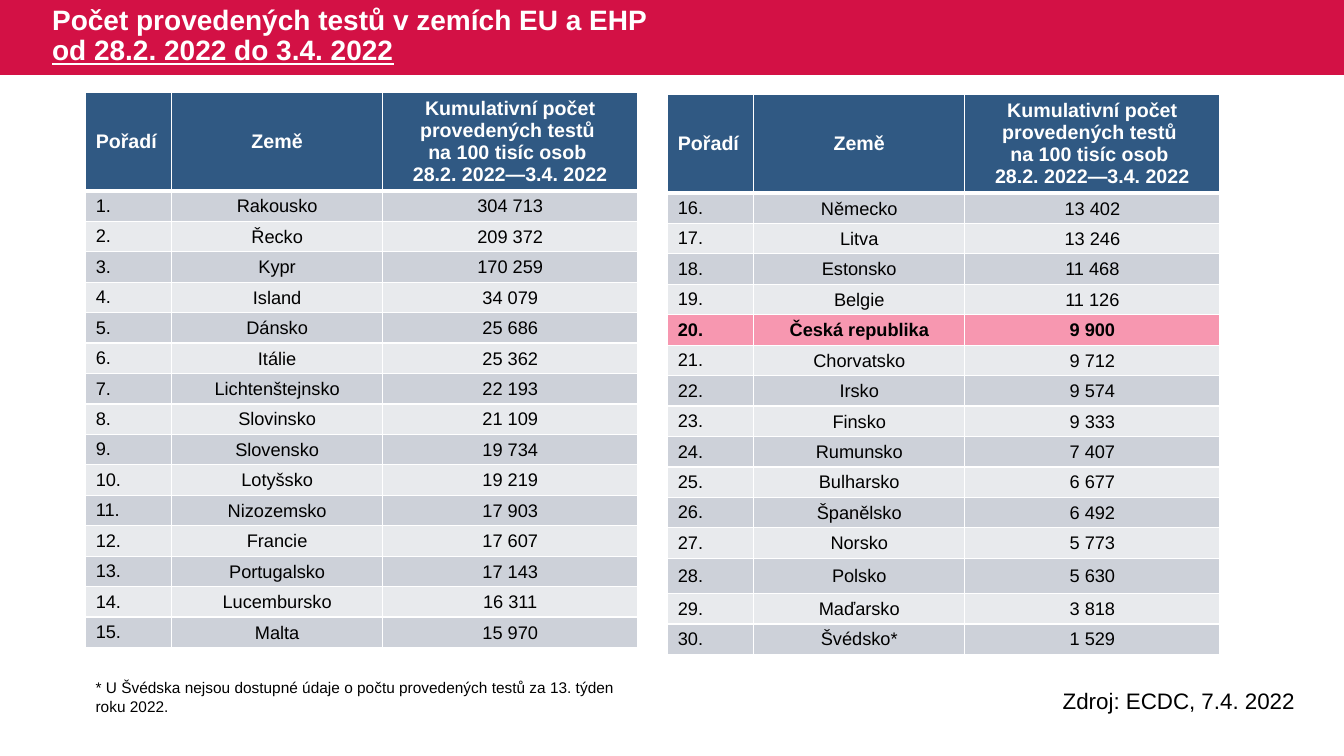
"""Build the slide ranking EU and EEA countries by tests performed."""
import dataclasses

import lxml.etree
import pptx
import pptx.dml.color
import pptx.enum.shapes
import pptx.enum.text
import pptx.oxml.ns
import pptx.util

Pt = pptx.util.Pt
RGB = pptx.dml.color.RGBColor.from_string
ALIGN = pptx.enum.text.PP_ALIGN
MIDDLE = pptx.enum.text.MSO_ANCHOR.MIDDLE


@dataclasses.dataclass(frozen=True)
class Theme:
    font: str = "Arial"
    white: str = "FFFFFF"
    black: str = "000000"
    band: str = "D31145"
    header: str = "305983"
    stripes: tuple = ("CDD1D9", "E8EAED")
    highlight: str = "F797B0"
    title_size: int = 20
    source_size: int = 16
    header_size: int = 14
    cell_size: int = 13
    note_size: int = 11


class RankingSlide:
    def __init__(self, prs, theme):
        self.theme = theme
        self.s = prs.slides.add_slide(prs.slide_layouts[5])

    def place(self, sp, box):
        for name, value in zip(("left", "top", "width", "height"), box):
            setattr(sp, name, Pt(value))

    def style(self, font, size, color, **extra):
        values = {"name": self.theme.font, "size": Pt(size), "bold": False, **extra}
        for name, value in values.items():
            setattr(font, name, value)
        font.color.rgb = RGB(color)

    def band(self, box):
        sp = self.s.shapes.add_shape(
            pptx.enum.shapes.MSO_SHAPE.RECTANGLE, *map(Pt, box))
        sp.shadow.inherit = False
        sp.fill.solid()
        sp.fill.fore_color.rgb = RGB(self.theme.band)
        sp.line.fill.background()
        self.s.shapes.title.element.addprevious(sp.element)

    def title(self, box, first, second):
        sp = self.s.shapes.title
        self.place(sp, box)
        tf = sp.text_frame
        tf.auto_size = pptx.enum.text.MSO_AUTO_SIZE.NONE
        tf.vertical_anchor = MIDDLE
        p = tf.paragraphs[0]
        p.alignment = ALIGN.LEFT
        p.line_spacing = 0.9
        for text, underline in ((first, False), (second, True)):
            if underline:
                p.add_line_break()
            r = p.add_run()
            r.text = text
            self.style(r.font, self.theme.title_size, self.theme.white,
                       bold=True, underline=underline)

    def text(self, box, text, size):
        tf = self.s.shapes.add_textbox(*map(Pt, box)).text_frame
        tf.word_wrap = True
        tf.text = text
        self.style(tf.paragraphs[0].runs[0].font, size, self.theme.black)

    def borders(self, cell, top, bottom):
        tcPr = cell._tc.get_or_add_tcPr()
        qn = pptx.oxml.ns.qn
        for side, width in (("L", 1), ("R", 1), ("T", top), ("B", bottom)):
            ln = lxml.etree.SubElement(tcPr, qn(f"a:ln{side}"), w=str(Pt(width)))
            fill = lxml.etree.SubElement(ln, qn("a:solidFill"))
            lxml.etree.SubElement(fill, qn("a:srgbClr"), val=self.theme.white)

    def cell(self, cell, text, align, fill, size, color, bold):
        cell.text = text
        cell.vertical_anchor = MIDDLE
        cell.fill.solid()
        cell.fill.fore_color.rgb = RGB(fill)
        for p in cell.text_frame.paragraphs:
            p.alignment = align
            for r in p.runs:
                self.style(r.font, size, color, bold=bold)

    def table(self, box, widths, header, countries, start, tall=None, marked=None):
        t = self.theme
        gf = self.s.shapes.add_table(len(countries) + 1, len(widths), *map(Pt, box))
        table = gf.table
        for column, width in zip(table.columns, widths):
            column.width = Pt(width)
        ranked = [(f"{rank}.", *row) for rank, row in enumerate(countries, start)]
        for i, values in enumerate([header, *ranked]):
            is_header, is_marked = i == 0, values[1] == marked
            is_tall = values[1] == tall
            table.rows[i].height = Pt(52 if is_header else 25.2 if is_tall else 18)
            if is_header:
                look = (t.header, t.header_size, t.white, True)
            else:
                fill = t.highlight if is_marked else t.stripes[(i - 1) % 2]
                look = (fill, t.cell_size, t.black, is_marked)
            for j, value in enumerate(values):
                cell = table.cell(i, j)
                self.borders(cell, 3 if i == 1 else 1, 3 if is_header else 1)
                self.cell(cell, value, ALIGN.CENTER if j else ALIGN.LEFT, *look)
                if j and not is_header:
                    for side, inset in (("left", 0.72), ("top", 0.72),
                                        ("right", 0.72), ("bottom", 0)):
                        setattr(cell, f"margin_{side}", Pt(inset))
        gf.height = Pt(box[3])


HEADER = ("Pořadí", "Země", "Kumulativní počet provedených testů \n"
          "na 100 tisíc osob \n28.2. 2022—3.4. 2022")
COUNTRIES = [
    ("Rakousko", "304 713"), ("Řecko", "209 372"), ("Kypr", "170 259"),
    ("Island", "34 079"), ("Dánsko", "25 686"), ("Itálie", "25 362"),
    ("Lichtenštejnsko", "22 193"), ("Slovinsko", "21 109"),
    ("Slovensko", "19 734"), ("Lotyšsko", "19 219"), ("Nizozemsko", "17 903"),
    ("Francie", "17 607"), ("Portugalsko", "17 143"), ("Lucembursko", "16 311"),
    ("Malta", "15 970"), ("Německo", "13 402"), ("Litva", "13 246"),
    ("Estonsko", "11 468"), ("Belgie", "11 126"), ("Česká republika", "9 900"),
    ("Chorvatsko", "9 712"), ("Irsko", "9 574"), ("Finsko", "9 333"),
    ("Rumunsko", "7 407"), ("Bulharsko", "6 677"), ("Španělsko", "6 492"),
    ("Norsko", "5 773"), ("Polsko", "5 630"), ("Maďarsko", "3 818"),
    ("Švédsko*", "1 529"),
]


def main():
    prs = pptx.Presentation()
    prs.slide_width, prs.slide_height = Pt(960), Pt(540)
    theme = Theme()
    slide = RankingSlide(prs, theme)
    slide.band((0, 0, 960, 53.5))
    slide.title((30, 0, 587.5, 52.5), "Počet provedených testů v zemích EU a EHP ",
                "od 28.2. 2022 do 3.4. 2022")
    widths = (61.5, 150.5, 182.5)
    half = len(COUNTRIES) // 2
    slide.table((61.2, 66.2, 394.5, 416), widths, HEADER, COUNTRIES[:half], 1)
    slide.table((477, 67.7, 394.5, 419), widths, HEADER, COUNTRIES[half:],
                half + 1, tall="Polsko", marked="Česká republika")
    slide.text((752, 487.5, 208, 26.6), "Zdroj: ECDC, 7.4. 2022", theme.source_size)
    slide.text((61.2, 481, 394.5, 34),
               "* U Švédska nejsou dostupné údaje o počtu provedených testů "
               "za 13. týden roku 2022.", theme.note_size)
    prs.save("out.pptx")


if __name__ == "__main__":
    main()
